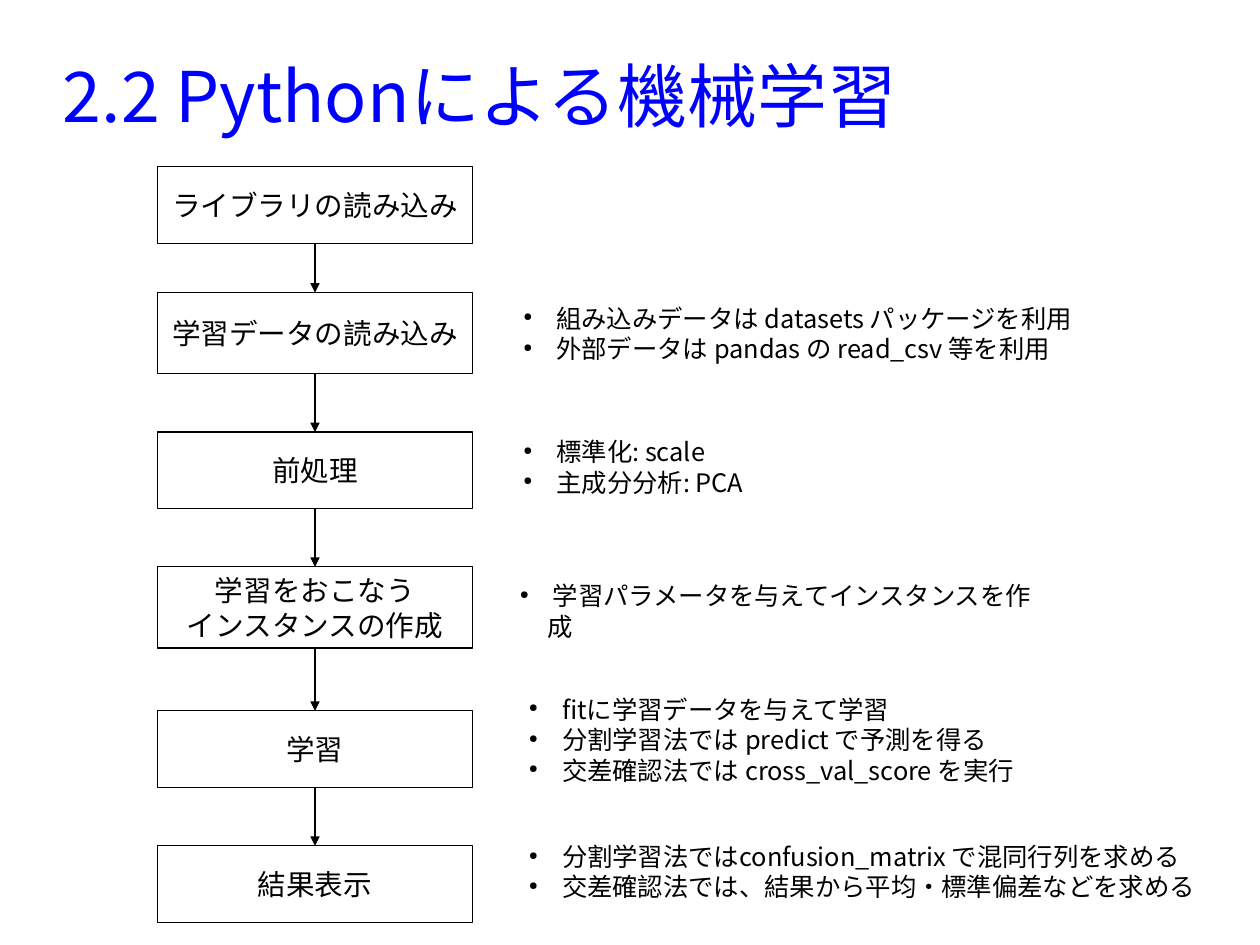
"""Build the slide that shows the machine learning workflow in Python."""
from dataclasses import dataclass

import pptx
import pptx.dml.color
import pptx.enum.shapes
import pptx.enum.text
import pptx.oxml
import pptx.oxml.ns
import pptx.util

TITLE = "2.2 Pythonによる機械学習"
TITLE_AREA = (0.55, 0.33, 9.92, 0.99)

STEPS = [
    (1.46, 0.67, ["ライブラリの読み込み"]),
    (2.56, 0.71, ["学習データの読み込み"]),
    (3.78, 0.67, ["前処理"]),
    (4.96, 0.71, ["学習をおこなう", "インスタンスの作成"]),
    (6.22, 0.67, ["学習"]),
    (7.40, 0.67, ["結果表示"]),
]

NOTES = [
    ((4.48, 2.60, 5.17), False, [" 組み込みデータは datasets パッケージを利用",
                                 " 外部データは pandas の read_csv 等を利用"]),
    ((4.48, 3.77, 2.19), False, [" 標準化: scale", " 主成分分析: PCA"]),
    ((4.45, 5.03, 4.85), True, [" 学習パラメータを与えてインスタンスを作成"]),
    ((4.53, 6.02, 4.63), False, [" fitに学習データを与えて学習",
                                 " 分割学習法では predict で予測を得る",
                                 " 交差確認法では cross_val_score を実行"]),
    ((4.53, 7.31, 6.04), False, [" 分割学習法ではconfusion_matrix で混同行列を求める",
                                 " 交差確認法では、結果から平均・標準偏差などを求める"]),
]


@dataclass(frozen=True)
class Theme:
    font: str = "Noto Sans CJK JP"
    bullet_font: str = "OpenSymbol"
    title: str = "0000FF"
    ink: str = "000000"
    title_size: int = 44
    step_size: int = 18
    note_size: int = 16


THEME = Theme()
SLIDE_W, SLIDE_H = pptx.util.Cm(28), pptx.util.Cm(21)
STEP_W = SLIDE_W.inches / 4
STEP_LEFT = SLIDE_W.inches / 8
NOTE_LINE, NOTE_PAD = 0.33, 0.1
BULLET_INDENT = 0.24
ALIGN = pptx.enum.text.PP_ALIGN
ANCHOR = pptx.enum.text.MSO_ANCHOR
AUTO = pptx.enum.text.MSO_AUTO_SIZE


def inches(*values):
    return [pptx.util.Inches(v) for v in values]


def rgb(value):
    return pptx.dml.color.RGBColor.from_string(value)


def element(xml):
    return pptx.oxml.parse_xml(xml.replace(" ", f" {pptx.oxml.ns.nsdecls('a')} ", 1))


def add_bullet(p):
    indent = pptx.util.Inches(BULLET_INDENT)
    pPr = p._p.get_or_add_pPr()
    pPr.set("marL", str(indent))
    pPr.set("indent", str(-indent))
    for xml in (f'<a:buClr ><a:srgbClr val="{THEME.ink}"/></a:buClr>',
                '<a:buSzPct val="45000"/>',
                f'<a:buFont typeface="{THEME.bullet_font}"/>',
                '<a:buChar char="●"/>'):
        pPr.append(element(xml))


def write(tf, lines, size, color, align, bullets=False):
    for i, line in enumerate(lines):
        p = tf.paragraphs[0] if i == 0 else tf.add_paragraph()
        p.alignment = align
        if bullets:
            add_bullet(p)
        r = p.add_run()
        r.text = line
        r.font.name = THEME.font
        r.font.size = pptx.util.Pt(size)
        r.font.color.rgb = rgb(color)
        r._r.get_or_add_rPr().append(element(f'<a:ea typeface="{THEME.font}"/>'))


def add_title(s):
    sp = s.shapes.title
    sp.left, sp.top, sp.width, sp.height = inches(*TITLE_AREA)
    tf = sp.text_frame
    tf.margin_left = tf.margin_right = tf.margin_top = tf.margin_bottom = 0
    tf.vertical_anchor = ANCHOR.MIDDLE
    tf.word_wrap = True
    tf.auto_size = AUTO.SHAPE_TO_FIT_TEXT
    write(tf, [TITLE], THEME.title_size, THEME.title, ALIGN.LEFT)


def add_step(s, top, height, lines):
    sp = s.shapes.add_shape(pptx.enum.shapes.MSO_SHAPE.RECTANGLE,
                            *inches(STEP_LEFT, top, STEP_W, height))
    sp.shadow.inherit = False
    sp.fill.background()
    sp.line.color.rgb = rgb(THEME.ink)
    sp.line.width = pptx.util.Pt(0)
    tf = sp.text_frame
    tf.word_wrap = False
    tf.vertical_anchor = ANCHOR.MIDDLE
    write(tf, lines, THEME.step_size, THEME.ink, ALIGN.CENTER)
    return sp


def add_arrow(s, upper, lower):
    line = s.shapes.add_connector(pptx.enum.shapes.MSO_CONNECTOR.STRAIGHT, 0, 0, 0, 0)
    line.begin_connect(upper, 2)
    line.end_connect(lower, 0)
    line.line.color.rgb = rgb(THEME.ink)
    line.line.width = pptx.util.Pt(1)
    line.line._get_or_add_ln().append(element('<a:tailEnd type="triangle"/>'))
    line._element.spPr.append(element("<a:effectLst />"))


def add_note(s, place, wrap, lines):
    left, top, width = place
    height = NOTE_LINE * len(lines) + NOTE_PAD
    tf = s.shapes.add_textbox(*inches(left, top, width, height)).text_frame
    tf.word_wrap = wrap
    tf.auto_size = AUTO.SHAPE_TO_FIT_TEXT
    write(tf, lines, THEME.note_size, THEME.ink, ALIGN.LEFT, bullets=True)


def main():
    prs = pptx.Presentation()
    prs.slide_width, prs.slide_height = SLIDE_W, SLIDE_H
    s = prs.slides.add_slide(prs.slide_layouts.get_by_name("Title Only"))
    add_title(s)
    boxes = [add_step(s, *step) for step in STEPS]
    for upper, lower in zip(boxes, boxes[1:]):
        add_arrow(s, upper, lower)
    for note in NOTES:
        add_note(s, *note)
    prs.save("out.pptx")


if __name__ == "__main__":
    main()
